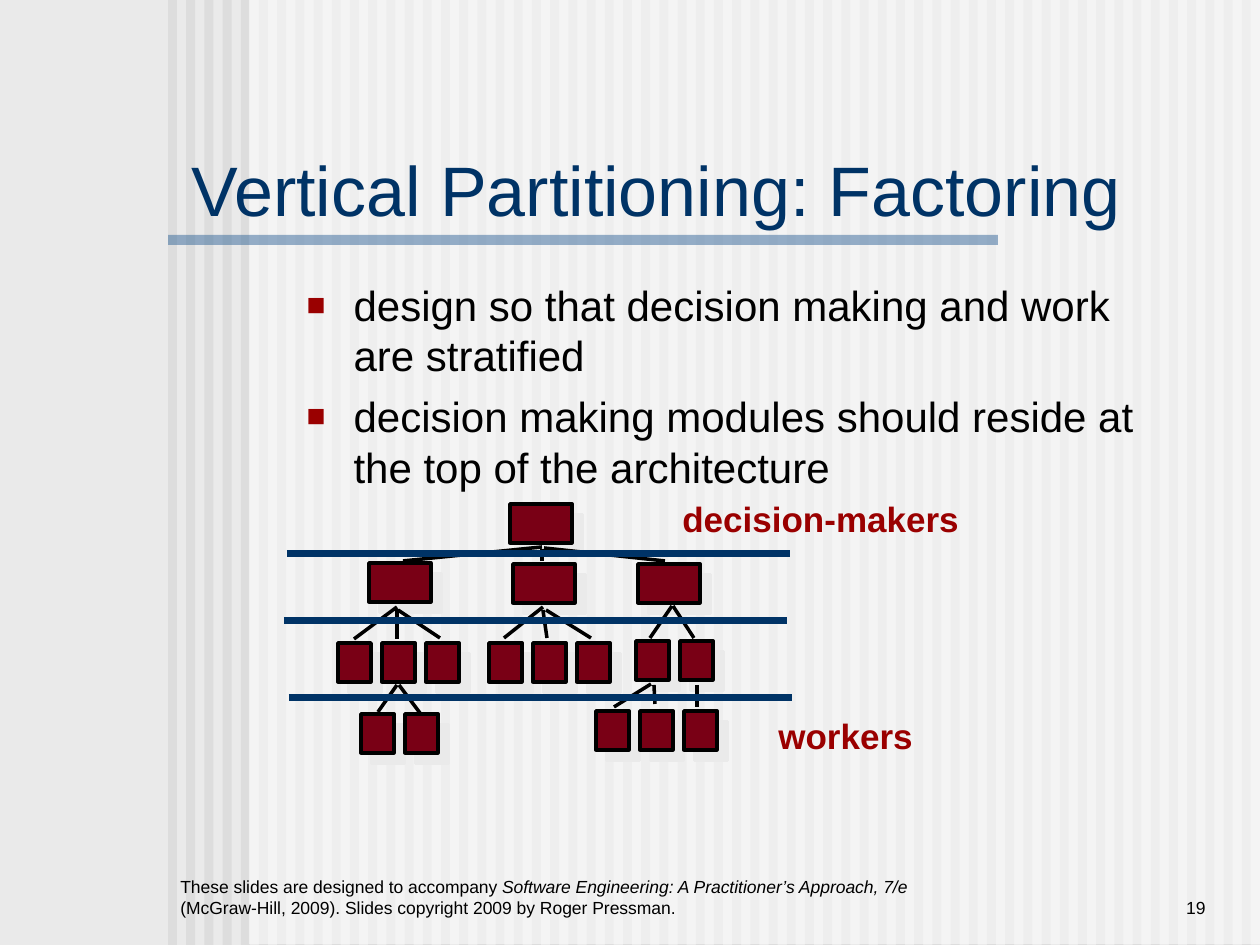
from lxml import etree
from pptx import Presentation
from pptx import util as u
from pptx.dml.color import RGBColor
from pptx.enum import shapes, text
from pptx.oxml.ns import qn

PX = 914400 // 126
FONT = "Arial"
NAVY, MAROON, RED, BLACK = "003366", "790015", "9A0000", "000000"

TITLE = "Vertical Partitioning: Factoring"
BULLETS = [
    "design so that decision making and work are stratified",
    "decision making modules should reside at the top of the architecture",
]
FOOTER = [
    ("These slides are designed to accompany ", False),
    ("Software Engineering: A Practitioner’s Approach, 7/e ", True),
    ("(McGraw-Hill, 2009). Slides copyright 2009 by Roger Pressman.", False),
]
PAGE = "19"
LABELS = [("workers", 766, 708, 160), ("decision-makers", 670, 491, 302)]

# Modules: left and top of each manager; left, top and count of each worker row
MANAGERS = [(510, 504), (369, 563), (513, 564), (638, 564)]
WORKER_ROWS = [(338, 643, 3), (489, 643, 3), (636, 641, 2), (596, 711, 3), (361, 714, 2)]
MANAGER_WIDTH, WORKER_WIDTH, MODULE_HEIGHT, WORKER_PITCH = 62, 33, 39, 44

# Calls between modules: x and y of both ends
CALLS = [
    (542, 547, 403, 561), (542, 549, 542, 561), (544, 548, 665, 561),
    (397, 607, 354, 639), (397, 609, 397, 639), (398, 610, 440, 638),
    (543, 607, 504, 638), (543, 610, 547, 638), (546, 610, 591, 638),
    (672, 606, 650, 638), (673, 606, 694, 638),
    (651, 684, 614, 707), (654, 685, 655, 704), (697, 685, 697, 707),
    (397, 685, 378, 712), (399, 685, 420, 713),
]
LEVELS = [(284, 621), (289, 698), (287, 554)]
LEVEL_LENGTH = 503

STRIPE_LEFT, STRIPE_PITCH, STRIPE_WIDTH, STRIPE_COUNT = 168, 18.2, 9, 60


def px(*lengths):
    return [u.Emu(round(length * PX)) for length in lengths]


def color(value):
    return RGBColor.from_string(value)


def add_rect(box, fill, alpha=None):
    shape = slide.shapes.add_shape(shapes.MSO_SHAPE.RECTANGLE, *px(*box))
    shape.shadow.inherit = False
    shape.fill.solid()
    shape.fill.fore_color.rgb = color(fill)
    shape.line.fill.background()
    if alpha:
        fill_color = shape._element.spPr.find(".//" + qn("a:srgbClr"))
        etree.SubElement(fill_color, qn("a:alpha"), val=str(alpha * 1000))
    return shape


def add_module(left, top, width):
    shape = add_rect((left, top, width, MODULE_HEIGHT), MAROON)
    shape.line.color.rgb = color(BLACK)
    shape.line.width = u.Pt(2)
    effects = shape._element.spPr.find(qn("a:effectLst"))
    shadow = etree.SubElement(effects, qn("a:outerShdw"), blurRad="0",
                              dist=str(u.Pt(8.5)), dir="2700000", algn="ctr", rotWithShape="0")
    etree.SubElement(shadow, qn("a:srgbClr"), val="EAEAEA")


def add_line(ends, line_color, width):
    line = slide.shapes.add_connector(shapes.MSO_CONNECTOR.STRAIGHT, *px(*ends))
    line.line.color.rgb = color(line_color)
    line.line.width = u.Pt(width)
    etree.SubElement(line._element.spPr, qn("a:effectLst"))


def style(paragraph, size, font_color, bold=None):
    font = paragraph.font
    font.name, font.size, font.bold = FONT, u.Pt(size), bold
    font.color.rgb = color(font_color)


def add_text(box, runs, size, font_color, bold=None, wrap=True,
             anchor=text.MSO_ANCHOR.TOP, align=text.PP_ALIGN.LEFT):
    frame = slide.shapes.add_textbox(*px(*box)).text_frame
    frame.word_wrap = wrap
    frame.vertical_anchor = anchor
    paragraph = frame.paragraphs[0]
    paragraph.alignment = align
    for words, italic in runs:
        run = paragraph.add_run()
        run.text = words
        if italic:
            run.font.italic = True
    style(paragraph, size, font_color, bold)


def place(placeholder, box, anchor):
    placeholder.left, placeholder.top, placeholder.width, placeholder.height = px(*box)
    slide.shapes._spTree.append(placeholder._element)  # bring in front of the backdrop
    frame = placeholder.text_frame
    frame.auto_size = text.MSO_AUTO_SIZE.NONE
    frame.vertical_anchor = anchor
    return frame


def add_bullet(paragraph):
    properties = paragraph._p.get_or_add_pPr()
    properties.set("marL", str(px(47)[0]))
    properties.set("indent", str(px(-47)[0]))
    bullet_color = etree.SubElement(properties, qn("a:buClr"))
    etree.SubElement(bullet_color, qn("a:srgbClr"), val=RED)
    etree.SubElement(properties, qn("a:buSzPct"), val="75000")
    etree.SubElement(properties, qn("a:buFont"), typeface=FONT)
    etree.SubElement(properties, qn("a:buChar"), char="■")


presentation = Presentation()
presentation.slide_width, presentation.slide_height = px(1260, 945)
slide = presentation.slides.add_slide(presentation.slide_layouts[1])

# Backdrop: stripes, white wash and title rule
slide.background.fill.solid()
slide.background.fill.fore_color.rgb = color("EAEAEA")
for index in range(STRIPE_COUNT):
    add_rect((STRIPE_LEFT + index * STRIPE_PITCH, 0, STRIPE_WIDTH, 945), "DDDDDD")
add_rect((249, -1, 1011, 945), "FFFFFF", 50)
add_rect((168, 235, 830, 10), "336699", 50)

# Footer and page number
add_text((168, 861, 756, 63), FOOTER, 10, BLACK, anchor=text.MSO_ANCHOR.BOTTOM)
add_text((1040, 861, 178, 63), [(PAGE, False)], 10, BLACK,
         anchor=text.MSO_ANCHOR.BOTTOM, align=text.PP_ALIGN.RIGHT)

# Title and bullets
frame = place(slide.shapes.title, (179, 147, 987, 83), text.MSO_ANCHOR.MIDDLE)
frame.text = TITLE
frame.paragraphs[0].alignment = text.PP_ALIGN.LEFT
style(frame.paragraphs[0], 40, NAVY)

frame = place(slide.placeholders[1], (294, 273, 862, 248), text.MSO_ANCHOR.TOP)
frame.text = "\n".join(BULLETS)
for index, paragraph in enumerate(frame.paragraphs):
    paragraph.space_before = u.Pt(6 if index else 0)
    add_bullet(paragraph)
    style(paragraph, 24, BLACK)

# Module hierarchy
for left, top in MANAGERS:
    add_module(left, top, MANAGER_WIDTH)
for left, top, count in WORKER_ROWS:
    for index in range(count):
        add_module(left + index * WORKER_PITCH, top, WORKER_WIDTH)
for ends in CALLS:
    add_line(ends, BLACK, 2)

# Level dividers and their labels
for left, top in LEVELS:
    add_line((left, top, left + LEVEL_LENGTH, top), NAVY, 4)
for words, left, top, width in LABELS:
    add_text((left, top, width, 54), [(words, False)], 20, RED, bold=True, wrap=False)

presentation.save("out.pptx")
